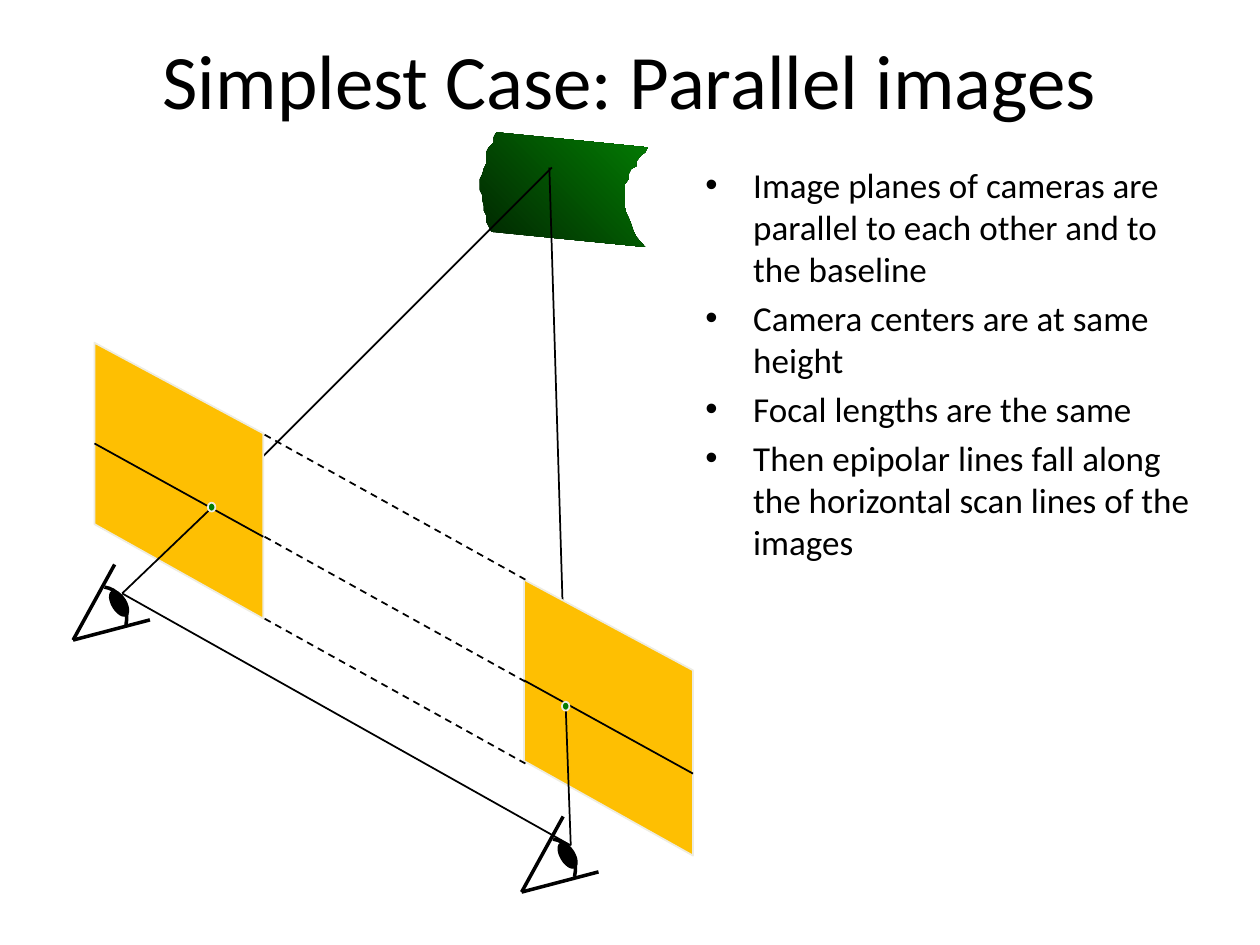
import pptx
import pptx.util
import pptx.dml.color
import pptx.enum.dml
import pptx.enum.shapes
import pptx.enum.text
import lxml.etree

SCALE = 9144  # EMU per px, 100 px to the inch
BLACK, GREEN, GOLD, CREAM = "000000", "037C03", "FEBF02", "EEECE1"
KIND = pptx.enum.shapes
ALIGN = pptx.enum.text

POINTS = [
    "Image planes of cameras are parallel to each other and to the baseline",
    "Camera centers are at same height",
    "Focal lengths are the same",
    "Then epipolar lines fall along the horizontal scan lines of the images",
]
# Torn outline of the surface, relative to its box
PATCH = [
    (13, 0), (11, 4), (11, 8), (7, 12), (5, 16), (5, 25), (3, 29), (2, 33),
    (0, 37), (0, 46), (2, 50), (2, 54), (3, 58), (3, 62), (5, 66), (5, 71),
    (7, 75), (9, 79), (131, 91), (124, 83), (122, 79), (120, 73), (118, 68),
    (116, 64), (115, 60), (115, 41), (118, 37), (118, 33), (120, 29),
    (124, 27), (124, 23), (128, 18), (131, 16), (133, 12),
]


def px(n):
    return pptx.util.Emu(round(n * SCALE))


def color(text):
    return pptx.dml.color.RGBColor.from_string(text)


def apply(thing, form):
    for key, value in form.items():
        setattr(thing, key, value)


def stroke(shape, tint, width=1, dash=False):
    shape.line.color.rgb = color(tint)
    shape.line.width = pptx.util.Pt(width)
    if dash:
        shape.line.dash_style = pptx.enum.dml.MSO_LINE.DASH


def paint(shape, tint):
    shape.fill.solid()
    shape.fill.fore_color.rgb = color(tint)


def line(slide, start, end, width=1, dash=False):
    link = slide.shapes.add_connector(
        KIND.MSO_CONNECTOR.STRAIGHT, *map(px, start + end))
    stroke(link, BLACK, width, dash)
    props = link._element.spPr
    lxml.etree.SubElement(props, pptx.oxml.ns.qn("a:effectLst"))


def outline(slide, x, y, spots, close=True):
    spots = [(px(x + dx), px(y + dy)) for dx, dy in spots]
    form = slide.shapes.build_freeform(*spots[0])
    form.add_line_segments(spots[1:], close=close)
    shape = form.convert_to_shape()
    shape.shadow.inherit = False
    return shape


def oval(slide, box, fill, edge, turn=0):
    shape = slide.shapes.add_shape(KIND.MSO_SHAPE.OVAL, *map(px, box))
    shape.shadow.inherit = False
    shape.rotation = turn
    paint(shape, fill)
    stroke(shape, edge)


def write(slide, box, texts, size, frame, para):
    body = slide.shapes.add_textbox(*map(px, box)).text_frame
    apply(body, {"word_wrap": True, **frame})
    for i, text in enumerate(texts):
        part = body.add_paragraph() if i else body.paragraphs[0]
        apply(part, para)
        run = part.add_run()
        run.text = text
        apply(run.font, {"name": "Calibri", "size": pptx.util.Pt(size)})
        run.font.color.rgb = color(BLACK)
    return body


def title(slide, box):
    write(slide, box, ["Simplest Case: Parallel images"], 44,
          {"vertical_anchor": ALIGN.MSO_ANCHOR.MIDDLE},
          {"alignment": ALIGN.PP_ALIGN.CENTER})


def bullets(slide, box):
    body = write(slide, box, POINTS, 20, {}, {"space_before": pptx.util.Pt(4)})
    for part in body.paragraphs:
        props = part._p.get_or_add_pPr()
        props.set("marL", str(px(38)))
        props.set("indent", str(-px(38)))
        font = lxml.etree.SubElement(props, pptx.oxml.ns.qn("a:buFont"))
        font.set("typeface", "Arial")
        mark = lxml.etree.SubElement(props, pptx.oxml.ns.qn("a:buChar"))
        mark.set("char", "•")


def patch(slide, x, y):
    shape = outline(slide, x, y, PATCH)
    shape.fill.gradient()
    shape.fill.gradient_angle = 45
    for stop, tint in zip(shape.fill.gradient_stops, ("012501", GREEN)):
        stop.color.rgb = color(tint)
    shape.line.fill.background()


def plane(slide, x, y):
    shape = outline(slide, x, y, [(0, 144), (134, 219), (134, 72), (0, 0)])
    paint(shape, GOLD)
    stroke(shape, CREAM)


def curve(ends, count=10):
    """Points along a cubic curve."""
    for i in range(count + 1):
        t = i / count
        mix = ((1 - t) ** 3, 3 * t * (1 - t) ** 2, 3 * t * t * (1 - t), t ** 3)
        yield tuple(sum(m * e[k] for m, e in zip(mix, ends)) for k in (0, 1))


def eye(slide, x, y):
    """Eye with its corner at x, y."""
    ends = [(25, -42), (38, -40), (45, -26), (42, -12)]
    lens = outline(slide, x, y, list(curve(ends)), close=False)
    lens.fill.background()
    stroke(lens, BLACK, 2)
    line(slide, (x + 33, y - 60), (x, y), 2)
    oval(slide, (x + 31, y - 40, 11, 22), BLACK, BLACK, 329)
    line(slide, (x, y), (x + 61, y - 16), 2)


def scene(slide, x, y):
    """Stereo pair viewing one surface."""
    def at(dx, dy):
        return x + dx, y + dy

    # plane corner, image point, camera center, eye corner, end on surface
    views = [
        (at(17, 167), at(110, 298), at(39, 366), at(0, 403), at(380, 28)),
        (at(358, 355), at(391, 456), at(395, 566), at(356, 603), at(378, 28)),
    ]
    patch(slide, *at(323, 0))
    line(slide, views[0][2], views[1][2])
    for corner, spot, center, tip, goal in views:
        line(slide, spot, goal)
        plane(slide, *corner)
        line(slide, center, spot)
        eye(slide, *tip)

    # Epipolar lines and the dashed links between the planes
    left, top = views[0][0]
    for dy in (73, 154, 219):
        line(slide, (left + 135, top + dy), (left + 342, top + dy + 115),
             dash=True)
    for (cx, cy), (sx, sy), *_ in views:
        line(slide, (cx, cy + 80), (cx + 134, cy + 154))
        oval(slide, (sx - 3, sy - 4, 6, 7), GREEN, CREAM)


def main():
    deck = pptx.Presentation()
    apply(deck, {"slide_width": px(1000), "slide_height": px(750)})
    slide = deck.slides.add_slide(deck.slide_layouts[6])
    title(slide, (50, 0, 900, 125))
    bullets(slide, (550, 125, 417, 575))
    scene(slide, 58, 105)
    deck.save("out.pptx")


if __name__ == "__main__":
    main()
